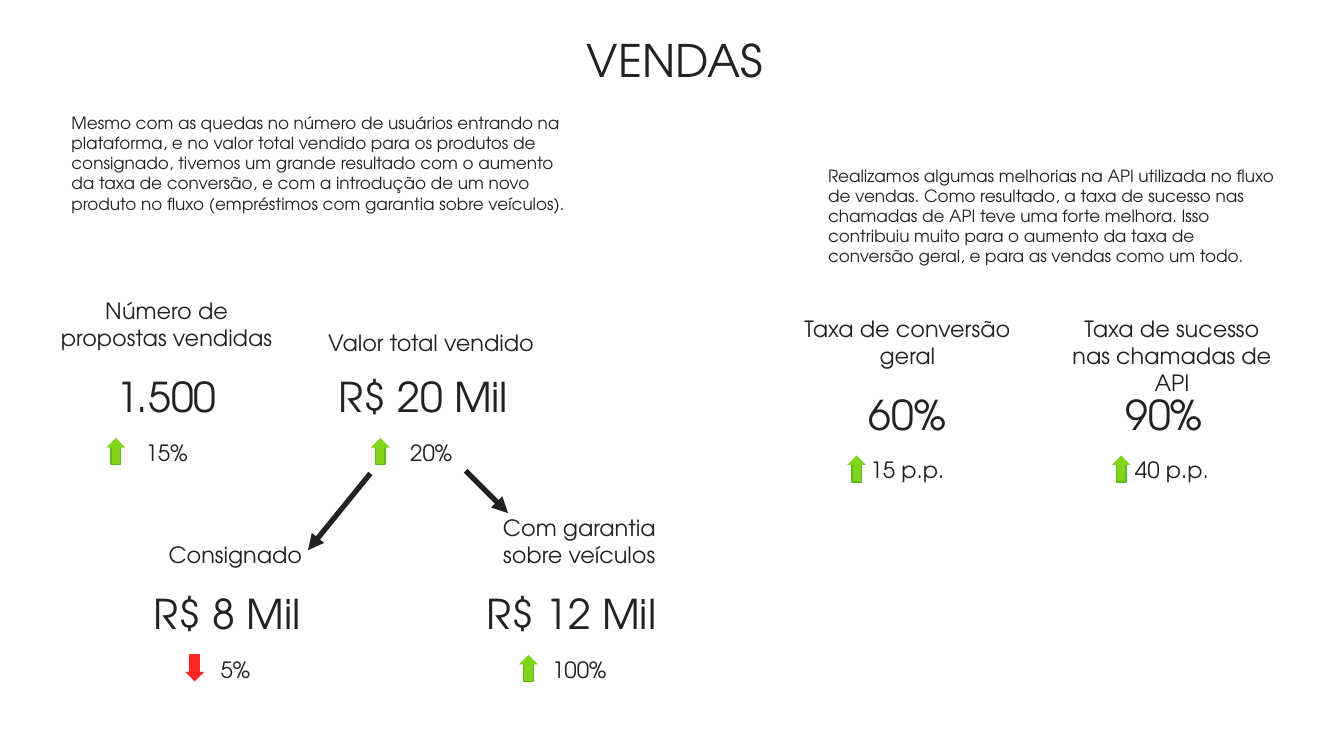
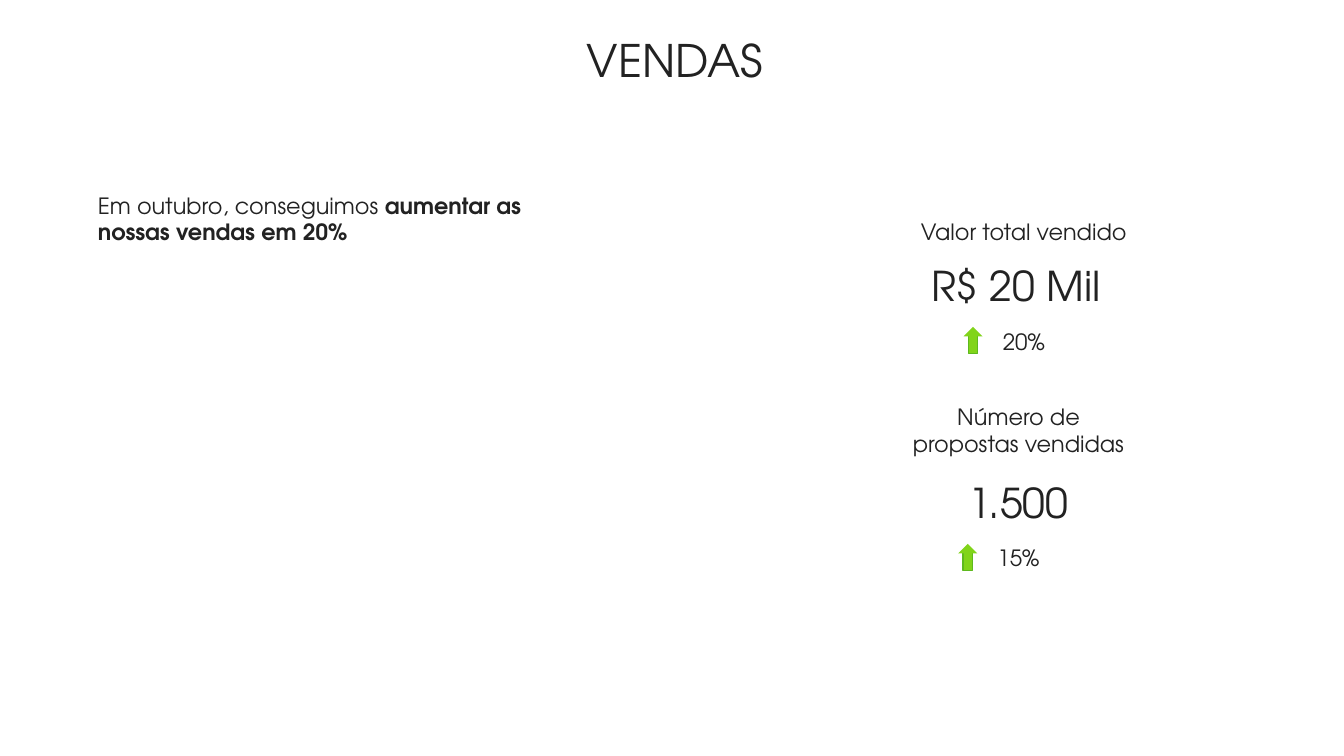
from dataclasses import dataclass
from lxml import etree
from pptx import Presentation, util as u
from pptx.dml import color
from pptx.enum import shapes, text
from pptx.oxml import ns


@dataclass(frozen=True)
class Theme:
    font: str = "TeX Gyre Adventor"
    ink: str = "222222"
    rise: str = "81D41A"
    rise_edge: str = "5EB91E"
    fall: str = "FC2626"
    title: float = 24
    value: float = 22
    label: float = 12
    body: float = 9
    connector: float = 2.83


THEME = Theme()
CENTER, LEFT = text.PP_ALIGN.CENTER, text.PP_ALIGN.LEFT
LABEL_WIDTH, VALUE_WIDTH, VALUE_SHIFT = 4.5, 5, 0.4
LINE_HEIGHT, TWO_LINES, VALUE_HEIGHT = 0.8, 1.4, 1.3
DELTA_DROP, ARROW_DROP, ARROW_INSET = 1.27, 1.38, 1.11
ARROW_WIDTH, ARROW_HEIGHT, HEAD_HEIGHT, STEM_HEIGHT = 0.36, 0.5, 0.18, 0.36


def rgb(value):
    return color.RGBColor.from_string(value)


def add_text(page, left, top, width, height, words, size, align=CENTER, bold_end=""):
    box = page.shapes.add_textbox(u.Cm(left), u.Cm(top), u.Cm(width), u.Cm(height))
    frame = box.text_frame
    frame.word_wrap = True
    frame.text = words
    if bold_end:
        span = frame.paragraphs[-1].add_run()
        span.text = bold_end
        span.font.bold = True
    for para in frame.paragraphs:
        para.alignment = align
        for span in para.runs:
            span.font.name = THEME.font
            span.font.size = u.Pt(size)
            span.font.color.rgb = rgb(THEME.ink)


def add_title(page, words):
    add_text(page, 9.5, 0.5, 6.5, 1.4, words, THEME.title)


def add_trend(page, left, top, rising):
    fill, edge = (THEME.rise, THEME.rise_edge) if rising else (THEME.fall, THEME.fall)
    group = page.shapes.add_group_shape()
    stem_top = top + ARROW_HEIGHT - STEM_HEIGHT if rising else top
    stem = group.shapes.add_shape(
        shapes.MSO_SHAPE.RECTANGLE, u.Cm(left + ARROW_WIDTH / 4), u.Cm(stem_top),
        u.Cm(ARROW_WIDTH / 2), u.Cm(STEM_HEIGHT))
    tip = top if rising else top + ARROW_HEIGHT
    base = tip + HEAD_HEIGHT if rising else tip - HEAD_HEIGHT
    outline = group.shapes.build_freeform(
        u.Cm(left + ARROW_WIDTH / 2), u.Cm(tip), scale=1.0)
    outline.add_line_segments(
        [(u.Cm(left + ARROW_WIDTH), u.Cm(base)), (u.Cm(left), u.Cm(base))], close=True)
    head = outline.convert_to_shape()
    for part in (stem, head):
        part.shadow.inherit = False
        part.fill.solid()
        part.fill.fore_color.rgb = rgb(fill)
    stem.line.color.rgb = rgb(edge)
    stem.line.width = u.Pt(0)
    head.line.fill.background()


def add_metric(page, left, value_top, label, value, delta, label_height=TWO_LINES,
               label_gap=0, wide=False, rising=True, arrow_inset=ARROW_INSET):
    add_text(page, left, value_top - label_height - label_gap, LABEL_WIDTH,
             label_height, label, THEME.label)
    value_left = left - VALUE_SHIFT if wide else left
    add_text(page, value_left, value_top, VALUE_WIDTH if wide else LABEL_WIDTH,
             VALUE_HEIGHT, value, THEME.value)
    add_text(page, left, value_top + DELTA_DROP, LABEL_WIDTH, LINE_HEIGHT,
             delta, THEME.label)
    add_trend(page, left + arrow_inset, value_top + ARROW_DROP, rising)


def add_sales_count(page, left, value_top):
    add_metric(page, left, value_top, "Número de propostas vendidas", "1.500", "15%")


def add_sales_total(page, left, value_top):
    add_metric(page, left, value_top, "Valor total vendido", "R$ 20 Mil", "20%",
               label_height=LINE_HEIGHT, wide=True)


def add_branch(page, start, end):
    line = page.shapes.add_connector(
        shapes.MSO_CONNECTOR.STRAIGHT, *(u.Cm(length) for length in start + end))
    line.line.color.rgb = rgb(THEME.ink)
    line.line.width = u.Pt(THEME.connector)
    etree.SubElement(line.line._get_or_add_ln(), ns.qn("a:tailEnd"), type="triangle")
    etree.SubElement(line._element.spPr, ns.qn("a:effectLst"))


def build_details(page):
    add_title(page, "VENDAS")
    add_sales_count(page, 0.9, 6.9)
    add_sales_total(page, 5.9, 6.9)
    add_metric(page, 14.9, 7.23, "Taxa de conversão geral", "60%", "15 p.p.")
    add_metric(page, 19.9, 7.23, "Taxa de sucesso nas chamadas de API", "90%",
               "40 p.p.", wide=True)
    add_metric(page, 2.2, 11, "Consignado", "R$ 8 Mil", "5%", label_height=LINE_HEIGHT,
               label_gap=0.1, wide=True, rising=False, arrow_inset=1.3)
    add_metric(page, 8.7, 11, "Com garantia\nsobre veículos", "R$ 12 Mil", "100%",
               wide=True)
    add_branch(page, (8.8, 8.9), (9.6, 9.7))
    add_branch(page, (7, 8.95), (5.82, 10.4))
    add_text(page, 15.4, 3, 9, 4.5,
             "Realizamos algumas melhorias na API utilizada no fluxo de vendas. "
             "Como resultado, a taxa de sucesso nas chamadas de API teve uma forte "
             "melhora. Isso contribuiu muito para o aumento da taxa de conversão "
             "geral, e para as vendas como um todo.", THEME.body, LEFT)
    add_text(page, 1.1, 2, 9.9, 2.5,
             "Mesmo com as quedas no número de usuários entrando na plataforma, e no "
             "valor total vendido para os produtos de consignado, tivemos um grande "
             "resultado com o aumento da taxa de conversão, e com a introdução de um "
             "novo produto no fluxo (empréstimos com garantia sobre veículos).",
             THEME.body, LEFT)


def build_summary(page):
    add_title(page, "VENDAS")
    add_sales_count(page, 17, 8.9)
    add_sales_total(page, 17.1, 4.8)
    add_text(page, 1.6, 3.5, 9.4, 8, "Em outubro, conseguimos ", THEME.label, LEFT,
             bold_end="aumentar as nossas vendas em 20%")


deck = Presentation()
deck.slide_width, deck.slide_height = u.Cm(25.4), u.Cm(14.29)
for build in (build_details, build_summary):
    build(deck.slides.add_slide(deck.slide_layouts[6]))
deck.save("out.pptx")
